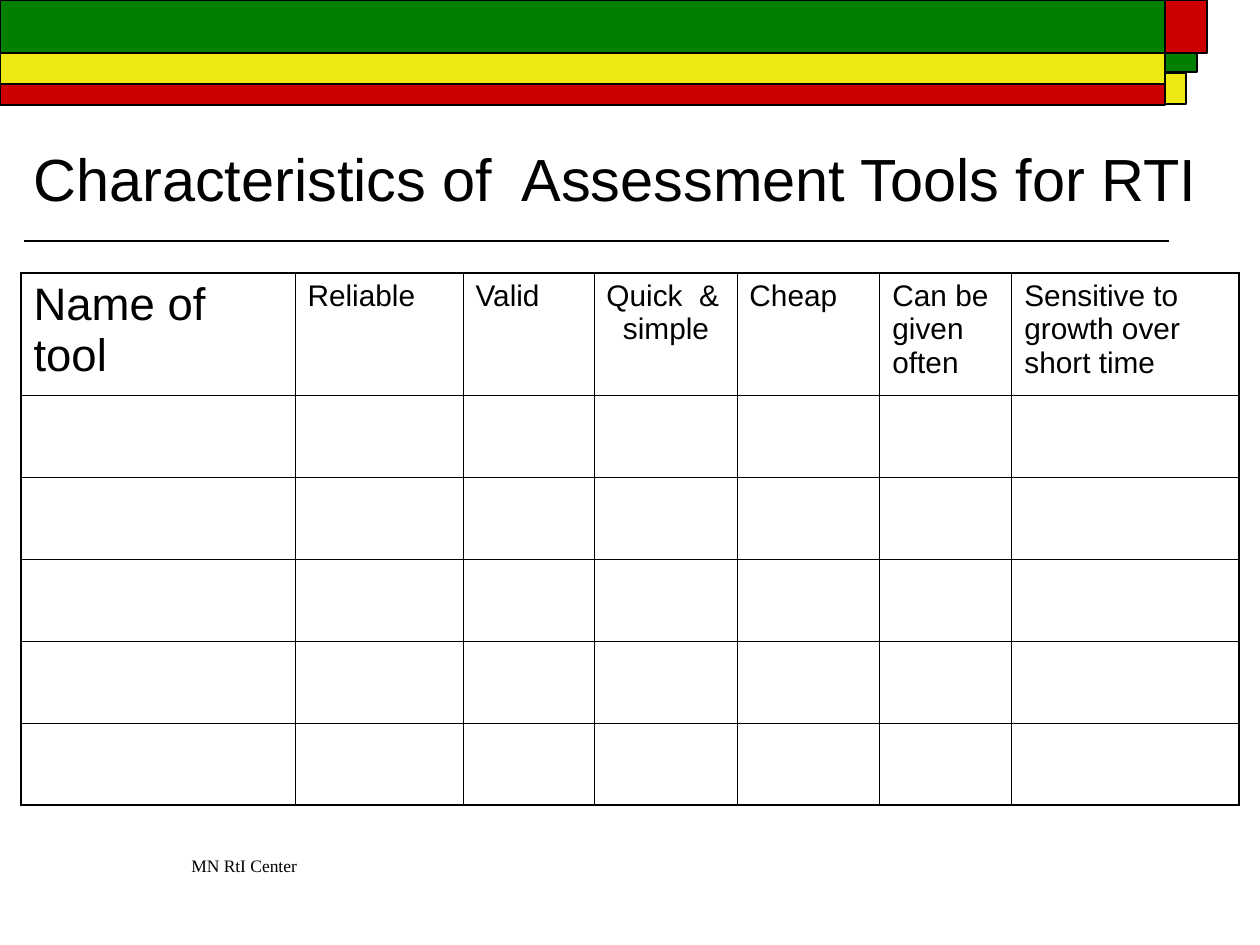
from typing import NamedTuple

from lxml import etree
from pptx import Presentation
from pptx import util as u
from pptx.dml.color import RGBColor
from pptx.enum import shapes, text
from pptx.oxml.ns import qn

EMU_PER_PX = 914400 / 126

BLACK = RGBColor(0x00, 0x00, 0x00)
GREEN = RGBColor(0x00, 0x80, 0x00)
YELLOW = RGBColor(0xEE, 0xE9, 0x12)
RED = RGBColor(0xCC, 0x00, 0x00)

THIN, THICK = 0.45, 1.08


class Band(NamedTuple):
    left: int
    top: int
    width: int
    height: int
    fill: RGBColor
    line_width: float = 1


class Label(NamedTuple):
    left: int
    top: int
    width: int
    height: int
    content: str
    font: str
    size: int
    anchor: text.MSO_ANCHOR


class Column(NamedTuple):
    heading: str
    width: int
    size: int = 17


BANDS = [
    Band(1165, 0, 42, 53, RED),
    Band(0, 0, 1165, 53, GREEN),
    Band(0, 84, 1165, 21, RED),
    Band(1165, 53, 32, 19, GREEN),
    Band(0, 53, 1165, 31, YELLOW, 0.75),
    Band(1165, 73, 21, 31, YELLOW, 0.75),
]
LABELS = [
    Label(179, 849, 150, 34, "MN RtI Center", "Times New Roman", 10,
          text.MSO_ANCHOR.TOP),
    Label(21, 73, 1260, 147, "Characteristics of  Assessment Tools for RTI",
          "Arial", 34, text.MSO_ANCHOR.BOTTOM),
]
COLUMNS = [
    Column("Name of tool", 274, 26),
    Column("Reliable", 168),
    Column("Valid", 131),
    Column("Quick  &   simple", 143),
    Column("Cheap", 143),
    Column("Can be given often", 132),
    Column("Sensitive to growth over short time", 227),
]
ROW_HEIGHTS = [122] + [82] * 5


def px(value: int) -> int:
    return round(value * EMU_PER_PX)


def add_run(paragraph, content: str, font: str, size: int) -> None:
    run = paragraph.add_run()
    run.text = content
    run.font.name = font
    run.font.size = u.Pt(size)
    run.font.color.rgb = BLACK


def add_band(slide, band: Band) -> None:
    shape = slide.shapes.add_shape(
        shapes.MSO_SHAPE.RECTANGLE, *(px(value) for value in band[:4]))
    shape.shadow.inherit = False
    shape.fill.solid()
    shape.fill.fore_color.rgb = band.fill
    shape.line.color.rgb = BLACK
    shape.line.width = u.Pt(band.line_width)


def add_label(slide, label: Label) -> None:
    box = slide.shapes.add_textbox(*(px(value) for value in label[:4]))
    frame = box.text_frame
    frame.word_wrap = True
    frame.vertical_anchor = label.anchor
    add_run(frame.paragraphs[0], label.content, label.font, label.size)


def add_rule(slide, left: int, right: int, y: int) -> None:
    rule = slide.shapes.add_connector(
        shapes.MSO_CONNECTOR.STRAIGHT, px(right), px(y), px(left), px(y))
    rule.line.color.rgb = BLACK
    rule.line.width = u.Pt(1)
    etree.SubElement(rule._element.spPr, qn("a:effectLst"))


def set_border(cell, side: str, width: float) -> None:
    properties = cell._tc.get_or_add_tcPr()
    line = etree.SubElement(properties, qn(f"a:ln{side}"), w=str(u.Pt(width)))
    fill = etree.SubElement(line, qn("a:solidFill"))
    etree.SubElement(fill, qn("a:srgbClr"), val=str(BLACK))


def add_tool_table(slide, left: int, top: int) -> None:
    last_row, last_column = len(ROW_HEIGHTS) - 1, len(COLUMNS) - 1
    table = slide.shapes.add_table(
        len(ROW_HEIGHTS), len(COLUMNS), px(left), px(top),
        px(sum(column.width for column in COLUMNS)),
        px(sum(ROW_HEIGHTS))).table
    table.first_row = False
    table.horz_banding = False

    for row, height in enumerate(ROW_HEIGHTS):
        table.rows[row].height = px(height)
    for index, column in enumerate(COLUMNS):
        table.columns[index].width = px(column.width)
        add_run(table.cell(0, index).text_frame.paragraphs[0],
                column.heading, "Arial", column.size)

    # Thick outer frame, thin inner grid
    for row in range(last_row + 1):
        for index in range(last_column + 1):
            cell = table.cell(row, index)
            outer_sides = {"L": index == 0, "R": index == last_column,
                           "T": row == 0, "B": row == last_row}
            for side, is_outer in outer_sides.items():
                set_border(cell, side, THICK if is_outer else THIN)
            cell.fill.background()


def main() -> None:
    presentation = Presentation()
    presentation.slide_width = px(1260)
    presentation.slide_height = px(945)
    slide = presentation.slides.add_slide(presentation.slide_layouts[6])

    # Rule under the title and coloured header bands
    add_rule(slide, 24, 1169, 241)
    for band in BANDS:
        add_band(slide, band)

    # Footer and title
    for label in LABELS:
        add_label(slide, label)

    # Assessment tool grid
    add_tool_table(slide, 21, 273)

    presentation.save("out.pptx")


if __name__ == "__main__":
    main()
